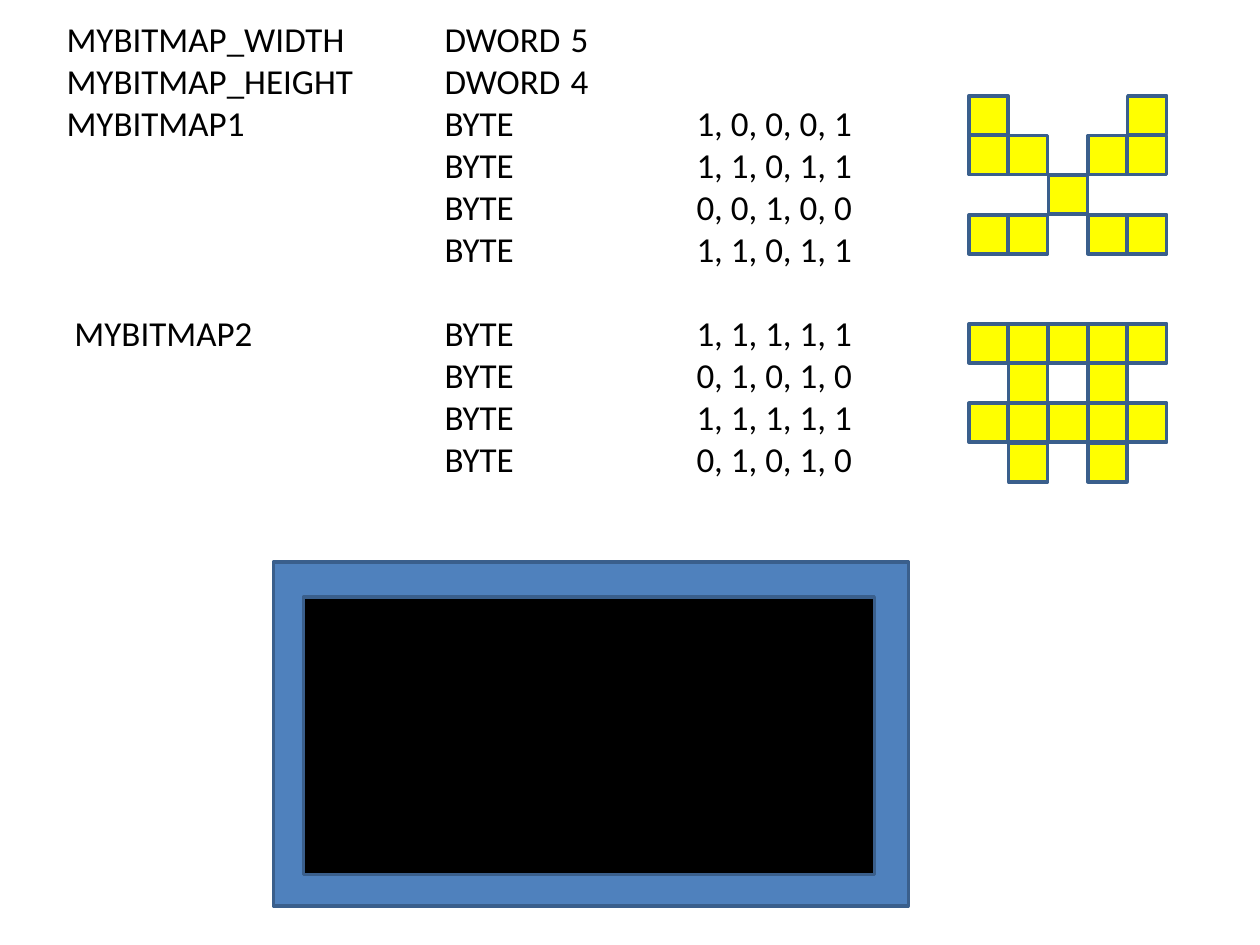
from pptx import Presentation
from pptx.dml.color import RGBColor
from pptx.enum.shapes import MSO_SHAPE
from pptx.enum.text import MSO_ANCHOR, PP_ALIGN
from pptx.oxml.ns import qn
from pptx.oxml.xmlchemy import OxmlElement
from pptx.util import Inches, Pt

THEME = {
    "font": "Calibri", "size": Pt(20), "text": RGBColor(0, 0, 0),
    "line": RGBColor(0x3A, 0x5F, 0x8C), "line_width": Pt(2),
    "frame": RGBColor(0x4F, 0x81, 0xBD), "screen": RGBColor(0, 0, 0),
    "pixel": RGBColor(0xFF, 0xFF, 0),
}
# Label, top of the drawn bitmap, pixel rows
BITMAPS = [
    ("MYBITMAP1", 0.76, ["10001", "11011", "00100", "11011"]),
    (" MYBITMAP2", 2.57, ["11111", "01010", "11111", "01010"]),
]
BITMAP_LEFT, PITCH, PIXEL = 7.69, 0.315, 0.31

prs = Presentation()
prs.slide_width, prs.slide_height = Inches(10), Inches(7.5)
s = prs.slides.add_slide(prs.slide_layouts[6])


def add_rect(left, top, width, height, fill):
    sp = s.shapes.add_shape(MSO_SHAPE.RECTANGLE, Inches(left), Inches(top),
                            Inches(width), Inches(height))
    sp.shadow.inherit = False
    sp.fill.solid()
    sp.fill.fore_color.rgb = fill
    sp.line.color.rgb = THEME["line"]
    sp.line.width = THEME["line_width"]


# Data declarations, aligned on one-inch tab stops
lines = ["MYBITMAP_WIDTH\tDWORD\t5", "MYBITMAP_HEIGHT\tDWORD\t4"]
for label, top, rows in BITMAPS:
    for i, row in enumerate(rows):
        start = label + "\t\t" if i == 0 else "\t\t\t"
        lines.append(start + "BYTE\t\t" + ", ".join(row))

tf = s.shapes.add_textbox(Inches(0.43), Inches(0.36), Inches(9), Inches(3.54)).text_frame
tf.word_wrap = True
tf.vertical_anchor = MSO_ANCHOR.MIDDLE
tf.margin_bottom = Inches(0.37)
for i, line in enumerate(lines):
    p = tf.paragraphs[0] if i == 0 else tf.add_paragraph()
    p.text = line
    p.alignment = PP_ALIGN.LEFT
    p.font.name, p.font.size = THEME["font"], THEME["size"]
    p.font.color.rgb = THEME["text"]
    if line.startswith(BITMAPS[1][0]):
        p.space_before = Pt(24)
    # Explicit tab stops, one per inch
    tabs = OxmlElement("a:tabLst")
    for inch in range(1, 7):
        tab = OxmlElement("a:tab")
        tab.set("pos", str(Inches(inch)))
        tab.set("algn", "l")
        tabs.append(tab)
    pPr = p._p.get_or_add_pPr()
    pPr.find(qn("a:defRPr")).addprevious(tabs)

# Monitor
add_rect(2.17, 4.46, 5.04, 2.73, THEME["frame"])
add_rect(2.41, 4.74, 4.53, 2.2, THEME["screen"])

# Bitmaps: one square for every 1
for label, top, rows in BITMAPS:
    for r, row in enumerate(rows):
        for c, bit in enumerate(row):
            if bit == "1":
                add_rect(BITMAP_LEFT + c * PITCH, top + r * PITCH,
                         PIXEL, PIXEL, THEME["pixel"])

prs.save("out.pptx")
